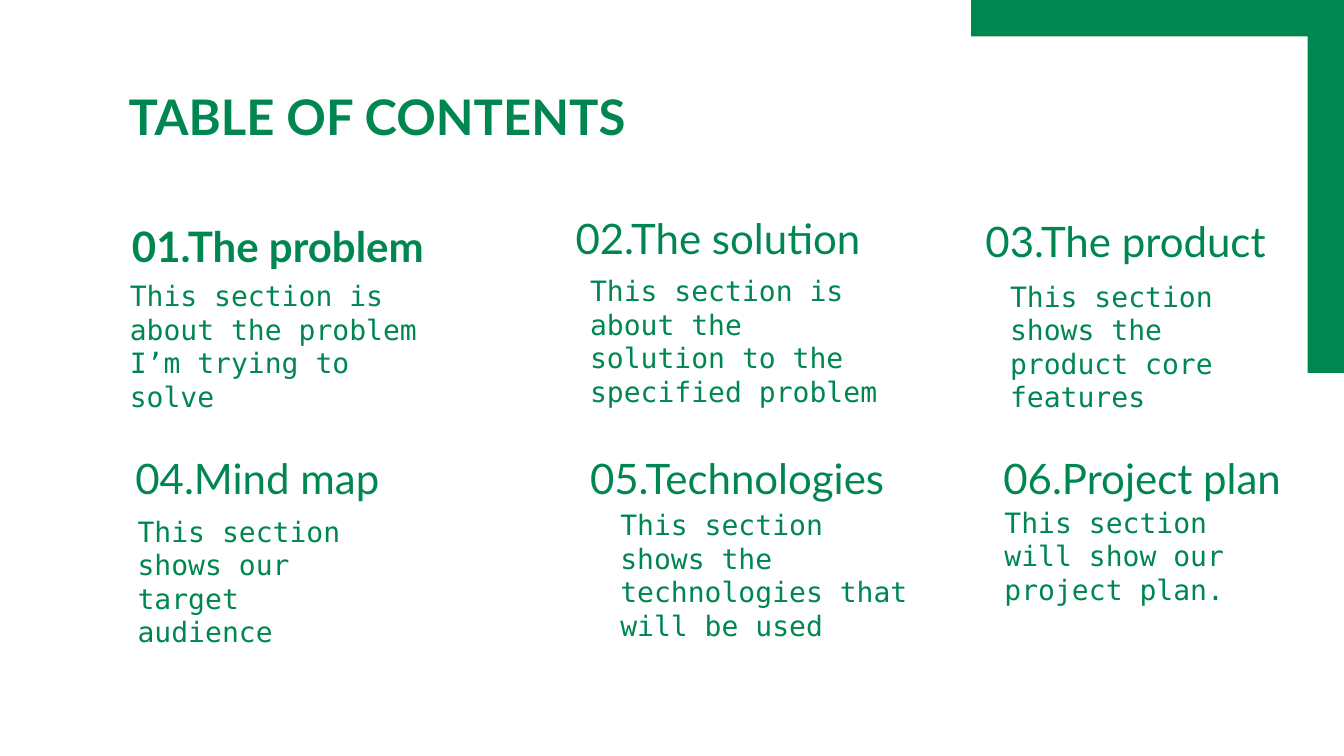
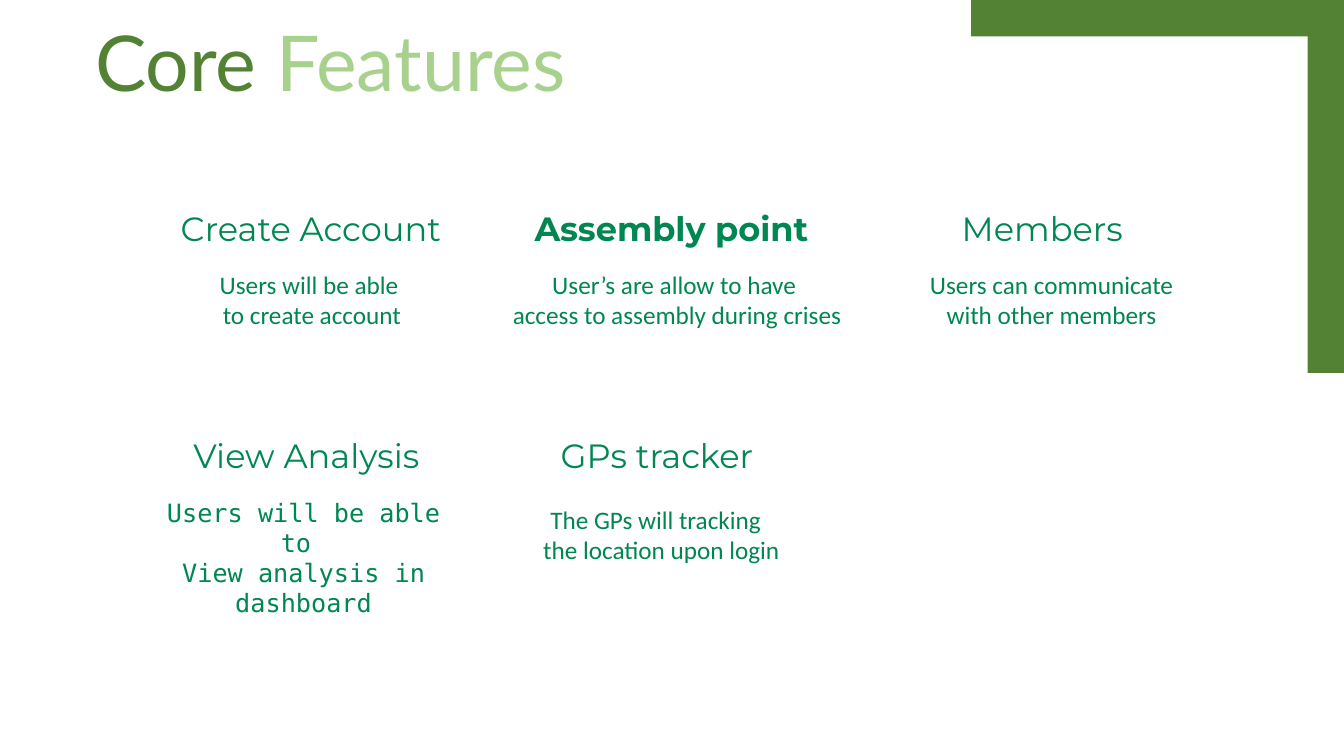
from dataclasses import dataclass

from pptx import Presentation
from pptx import util as u
from pptx.dml.color import RGBColor
from pptx.enum import shapes, text


@dataclass(frozen=True)
class Style:
    font: str
    size: int
    color: str = "008751"
    bold: bool = False
    align: text.PP_ALIGN = text.PP_ALIGN.LEFT
    anchor: text.MSO_ANCHOR = text.MSO_ANCHOR.TOP
    spacing: float = 1.0
    inset: tuple = (0.1, 0.1)


class Theme:
    green, olive, light = "008751", "548235", "A9D18E"
    center = text.PP_ALIGN.CENTER
    contents_title = Style("Lato", 35, bold=True)
    section = Style("Lato", 30, anchor=text.MSO_ANCHOR.MIDDLE)
    summary = Style("DejaVu Sans Mono", 20)
    features_title = Style("Lato", 55, olive, align=center, spacing=0.9)
    feature = Style("Montserrat", 24, align=center, spacing=0.9, inset=(0, 0.05))
    detail = Style("Calibri", 18, align=center, inset=(0.1, 0.05))
    mono_detail = Style("DejaVu Sans Mono", 18, align=center, inset=(0.1, 0.05))


# Slide size and the 12 by 12 grid that places everything
deck = Presentation()
deck.slide_width, deck.slide_height = u.Inches(13.33), u.Inches(7.5)
COL, ROW = deck.slide_width / 12, deck.slide_height / 12


def add_page(color):
    """Blank slide with the corner band at the top right."""
    page = deck.slides.add_slide(deck.slide_layouts[6])
    long, thick = int(3.33 * COL), int(0.325 * COL)
    for width, height in ((long, thick), (thick, long)):
        band = page.shapes.add_shape(shapes.MSO_SHAPE.RECTANGLE,
                                     deck.slide_width - width, 0, width, height)
        band.shadow.inherit = False
        band.fill.solid()
        band.fill.fore_color.rgb = RGBColor.from_string(color)
        band.line.fill.background()
    return page


def write(page, left, top, width, height, words, style, bold=False):
    """Text box in grid units; each line of words is a paragraph."""
    box = page.shapes.add_textbox(int(left * COL), int(top * ROW),
                                  int(width * COL), int(height * ROW))
    frame = box.text_frame
    frame.word_wrap = True
    frame.vertical_anchor = style.anchor
    frame.margin_left = frame.margin_right = u.Inches(style.inset[0])
    frame.margin_top = frame.margin_bottom = u.Inches(style.inset[1])
    frame.text = words
    for paragraph in frame.paragraphs:
        paragraph.alignment = style.align
        paragraph.line_spacing = style.spacing
        for run in paragraph.runs:
            run.font.name, run.font.size = style.font, u.Pt(style.size)
            run.font.bold = style.bold or bold
            run.font.color.rgb = RGBColor.from_string(style.color)
    return frame


# Table of contents: heading (left, top), summary (left, top, width)
contents = add_page(Theme.green)
write(contents, 1.06, 1.22, 7.6, 1.62, "TABLE OF CONTENTS", Theme.contents_title)
sections = [
    ("The problem", (1.09, 3.54), (1.07, 4.26, 2.93),
     "This section is about the problem I’m trying to solve"),
    ("The solution", (5.05, 3.42), (5.18, 4.18, 2.89),
     "This section is about the solution to the specified problem"),
    ("The product", (8.71, 3.46), (8.93, 4.27, 2.62),
     "This section shows the product core features"),
    ("Mind map", (1.12, 7.22), (1.14, 8, 2.24),
     "This section shows our target audience"),
    ("Technologies", (5.18, 7.22), (5.45, 7.9, 2.88),
     "This section shows the technologies that will be used"),
    ("Project plan", (8.87, 7.22), (8.88, 7.86, 2.51),
     "This section will show our project plan."),
]
for number, (name, heading_at, summary_at, summary) in enumerate(sections, 1):
    write(contents, *heading_at, 3.1, 0.72, f"{number:02}.{name}", Theme.section,
          bold=number == 1)
    write(contents, *summary_at, 1.57, summary, Theme.summary)

# Core features: two-tone title
core = add_page(Theme.olive)
title = write(core, 0, 0.24, 5.9, 1, "Core ", Theme.features_title).paragraphs[0]
second_word = title.add_run()
second_word.text = "Features"
second_word.font.name = Theme.features_title.font
second_word.font.size = u.Pt(Theme.features_title.size)
second_word.font.color.rgb = RGBColor.from_string(Theme.light)

# Features: name (left, top), detail (left, top, width)
features = [
    ("Create Account", (1.31, 3.3), (1.83, 4.19, 1.91),
     "Users will be able \nto create account", Theme.detail),
    ("Assembly point", (4.53, 3.3), (4.47, 4.19, 3.15),
     "User’s are allow to have \naccess to assembly during crises", Theme.detail),
    ("Members", (7.84, 3.3), (8.2, 4.19, 2.43),
     "Users can communicate \nwith other members ", Theme.detail),
    ("View Analysis", (1.27, 6.9), (1.25, 7.81, 2.92),
     "Users will be able to \nView analysis in dashboard", Theme.mono_detail),
    ("GPs tracker", (4.4, 6.9), (4.67, 7.92, 2.42),
     "The GPs will tracking \n the location upon login", Theme.detail),
]
for name, name_at, detail_at, detail, style in features:
    write(core, *name_at, 2.93, 1.1, name, Theme.feature,
          bold=name == "Assembly point")
    write(core, *detail_at, 1.14, detail, style)

deck.save("out.pptx")
